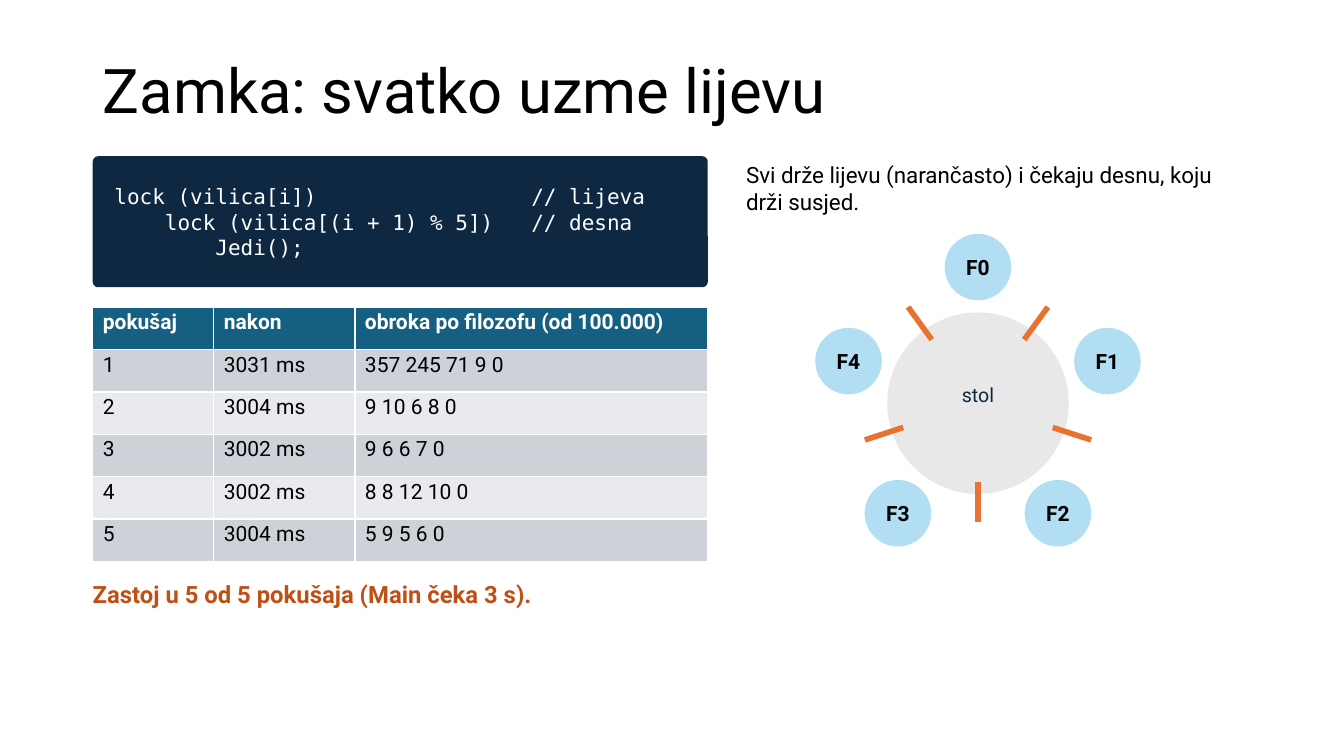
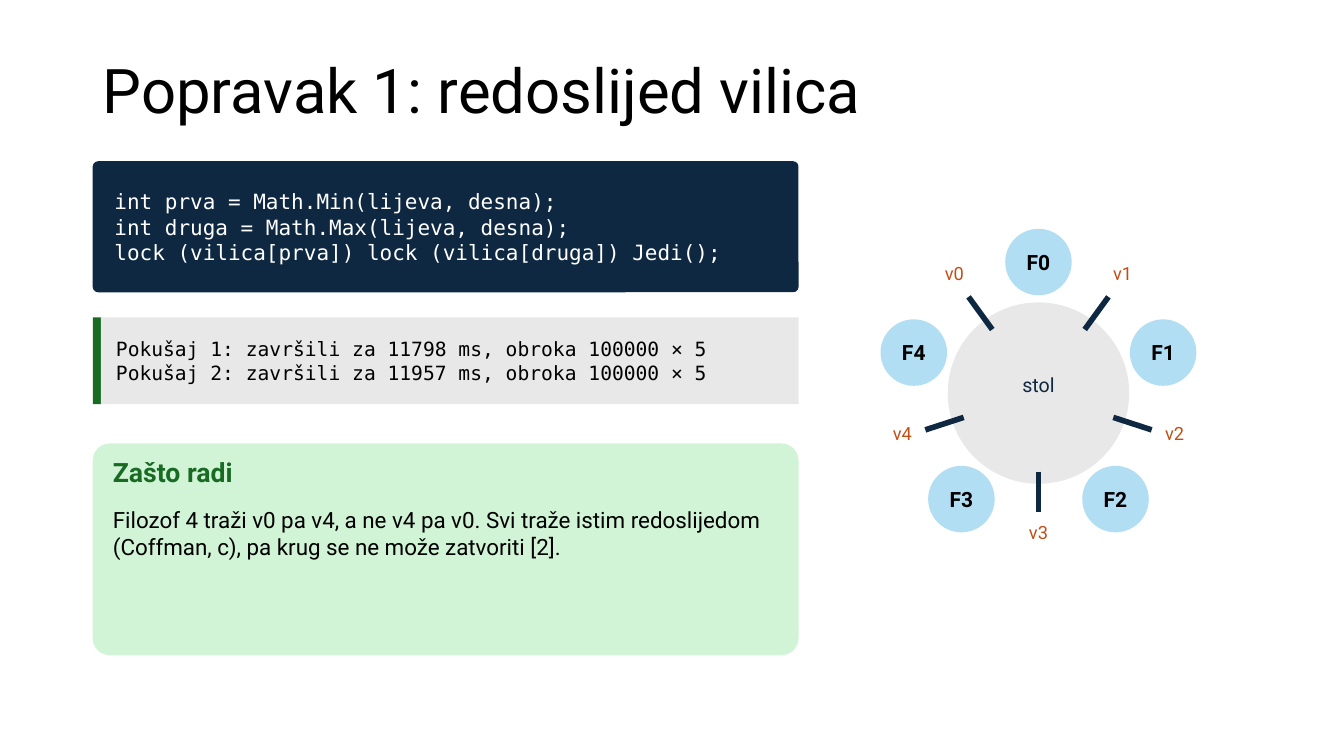
import math

import pptx
import pptx.dml.color
import pptx.enum.shapes
import pptx.enum.text
import pptx.util
from lxml import etree

Inches, Pt = pptx.util.Inches, pptx.util.Pt
SHAPE = pptx.enum.shapes.MSO_SHAPE
ANCHOR = pptx.enum.text.MSO_ANCHOR
CENTER = pptx.enum.text.PP_ALIGN.CENTER

COLORS = {
    "text": "000000", "white": "FFFFFF", "navy": "0E2841", "header": "156082",
    "row_odd": "CCD2D8", "row_even": "E8EAED", "rust": "C04F15", "orange": "E97132",
    "grey": "E8E8E8", "seat": "B2DEF3", "green": "196B24", "mint": "D1F4D6",
}
SANS, MONO = "Roboto", "DejaVu Sans Mono"


def style(size, color="text", name=SANS, bold=False):
    return {"size": Pt(size), "name": name, "bold": bold, "color": color}


STYLES = {
    "title": style(44), "body": style(16), "cell": style(15),
    "header": style(15, "white", bold=True), "code": style(15, "white", MONO),
    "output": style(14, name=MONO), "verdict": style(17, "rust", bold=True),
    "reason": style(19, "green", bold=True), "table": style(14, "navy"),
    "seat": style(15, bold=True), "fork": style(13, "rust"),
}
LEFT = 0.92
NO_INSETS = (0, 0, 0, 0)

# Content
TRAP = {
    "title": "Zamka: svatko uzme lijevu",
    "code": [
        "lock (vilica[i])                 // lijeva",
        "    lock (vilica[(i + 1) % 5])   // desna",
        "        Jedi();",
    ],
    "attempts": [
        ("pokušaj", "nakon", "obroka po filozofu (od 100.000)"),
        ("1", "3031 ms", "357 245 71 9 0"),
        ("2", "3004 ms", "9 10 6 8 0"),
        ("3", "3002 ms", "9 6 6 7 0"),
        ("4", "3002 ms", "8 8 12 10 0"),
        ("5", "3004 ms", "5 9 5 6 0"),
    ],
    "verdict": "Zastoj u 5 od 5 pokušaja (Main čeka 3 s).",
    "caption": "Svi drže lijevu (narančasto) i čekaju desnu, koju drži susjed.",
}
FIX = {
    "title": "Popravak 1: redoslijed vilica",
    "code": [
        "int prva = Math.Min(lijeva, desna);",
        "int druga = Math.Max(lijeva, desna);",
        "lock (vilica[prva]) lock (vilica[druga]) Jedi();",
    ],
    "output": [
        "Pokušaj 1: završili za 11798 ms, obroka 100000 × 5",
        "Pokušaj 2: završili za 11957 ms, obroka 100000 × 5",
    ],
    "reason": "Zašto radi",
    "explanation": "Filozof 4 traži v0 pa v4, a ne v4 pa v0. Svi traže istim "
                   "redoslijedom (Coffman, c), pa krug se ne može zatvoriti [2].",
}
COLUMN_WIDTHS = (1.2, 1.4, 3.5)
ROW_HEIGHT = 0.42
SEATS = 5


def rgb(color):
    return pptx.dml.color.RGBColor.from_string(COLORS[color])


def write(frame, lines, kind, insets, anchor=ANCHOR.TOP, align=None):
    """Fill a text frame with one paragraph per line."""
    frame.word_wrap = True
    frame.vertical_anchor = anchor
    for side, inset in zip(("left", "top", "right", "bottom"), insets):
        setattr(frame, f"margin_{side}", Inches(inset))
    for number, line in enumerate(lines):
        paragraph = frame.paragraphs[0] if number == 0 else frame.add_paragraph()
        paragraph.alignment = align
        run = paragraph.add_run()
        run.text = line
        for attribute, value in STYLES[kind].items():
            if attribute == "color":
                run.font.color.rgb = rgb(value)
            else:
                setattr(run.font, attribute, value)


def add_label(slide, box, text, kind, align=None):
    frame = slide.shapes.add_textbox(*map(Inches, box)).text_frame
    write(frame, [text], kind, NO_INSETS, align=align)
    frame.auto_size = pptx.enum.text.MSO_AUTO_SIZE.SHAPE_TO_FIT_TEXT


def add_panel(slide, preset, box, fill, corner=None):
    panel = slide.shapes.add_shape(preset, *map(Inches, box))
    panel.shadow.inherit = False
    panel.fill.solid()
    panel.fill.fore_color.rgb = rgb(fill)
    panel.line.fill.background()
    if corner is not None:
        panel.adjustments[0] = corner
    return panel


def add_disc(slide, center, diameter, fill):
    x, y = center
    box = (x - diameter / 2, y - diameter / 2, diameter, diameter)
    return add_panel(slide, SHAPE.OVAL, box, fill)


def add_fork(slide, start, end, color):
    fork = slide.shapes.add_connector(
        pptx.enum.shapes.MSO_CONNECTOR.STRAIGHT, *map(Inches, start + end))
    fork.line.color.rgb = rgb(color)
    fork.line.width = Pt(4)
    etree.SubElement(fork._element.spPr, pptx.oxml.ns.qn("a:effectLst"))


def add_titled_slide(deck, title):
    slide = deck.slides.add_slide(deck.slide_layouts[6])
    box = slide.shapes.add_textbox(*map(Inches, (LEFT, 0.4, 11.5, 1.06)))
    write(box.text_frame, [title], "title", (0.1, 0.05, 0.1, 0.05), ANCHOR.MIDDLE)
    box.text_frame.paragraphs[0].line_spacing = 0.9
    return slide


def add_code(slide, top, width, lines):
    panel = add_panel(slide, SHAPE.ROUNDED_RECTANGLE, (LEFT, top, width, 1.3), "navy", 0.04)
    write(panel.text_frame, lines, "code", (0.2, 0.05, 0.1, 0.05), ANCHOR.MIDDLE)


def add_attempts(slide, top, rows):
    grid = slide.shapes.add_table(
        len(rows), len(COLUMN_WIDTHS), Inches(LEFT), Inches(top),
        Inches(sum(COLUMN_WIDTHS)), Inches(ROW_HEIGHT * len(rows))).table
    for column, width in zip(grid.columns, COLUMN_WIDTHS):
        column.width = Inches(width)
    for r, values in enumerate(rows):
        grid.rows[r].height = Inches(ROW_HEIGHT)
        fill = "header" if r == 0 else ("row_even", "row_odd")[r % 2]
        for c, value in enumerate(values):
            cell = grid.cell(r, c)
            cell.fill.solid()
            cell.fill.fore_color.rgb = rgb(fill)
            # A cell keeps its insets and anchor itself, not in its text frame
            for side, inset in (("left", 0.1), ("top", 0.03), ("right", 0.1), ("bottom", 0.03)):
                setattr(cell, f"margin_{side}", Inches(inset))
            run = cell.text_frame.paragraphs[0].add_run()
            run.text = value
            look = STYLES["header" if r == 0 else "cell"]
            for attribute in ("size", "name", "bold"):
                setattr(run.font, attribute, look[attribute])
            run.font.color.rgb = rgb(look["color"])


def add_philosophers(slide, center, seat_radius, fork_color, name_forks=False):
    """Round table with seats, and a fork halfway between neighbours."""
    x, y = center

    def at(radius, step):
        angle = 2 * math.pi * step / SEATS
        return x + radius * math.sin(angle), y - radius * math.cos(angle)

    add_disc(slide, center, 1.8, "grey")
    add_label(slide, (x - 0.5, y - 0.2, 1, 0.4), "stol", "table", CENTER)
    for i in range(SEATS):
        seat = add_disc(slide, at(seat_radius, i), 0.66, "seat")
        write(seat.text_frame, [f"F{i}"], "seat", (0, 0.05, 0, 0.05), ANCHOR.MIDDLE, CENTER)
        between = i + 0.5
        add_fork(slide, at(0.78, between), at(1.18, between), fork_color)
        if name_forks:
            fork_x, fork_y = at(1.42, between)
            box = (fork_x - 0.3, fork_y - 0.15, 0.6, 0.3)
            add_label(slide, box, f"v{(i + 1) % SEATS}", "fork", CENTER)


def build_trap(deck):
    slide = add_titled_slide(deck, TRAP["title"])
    width = sum(COLUMN_WIDTHS)
    add_code(slide, 1.55, width, TRAP["code"])
    add_attempts(slide, 3.05, TRAP["attempts"])
    add_label(slide, (LEFT, 5.75, width, 0.8), TRAP["verdict"], "verdict")
    add_philosophers(slide, (9.7, 4), 1.35, "orange")
    add_label(slide, (7.4, 1.6, 4.9, 0.9), TRAP["caption"], "body")


def build_fix(deck):
    slide = add_titled_slide(deck, FIX["title"])
    width, bar = 7, 0.08
    add_code(slide, 1.6, width, FIX["code"])
    # Program output with an accent bar
    add_panel(slide, SHAPE.RECTANGLE, (LEFT, 3.15, bar, 0.86), "green")
    output = add_panel(slide, SHAPE.RECTANGLE, (LEFT + bar, 3.15, width - bar, 0.86), "grey")
    write(output.text_frame, FIX["output"], "output", (0.15, 0.05, 0.1, 0.05), ANCHOR.MIDDLE)
    # Explanation card
    add_panel(slide, SHAPE.ROUNDED_RECTANGLE, (LEFT, 4.4, width, 2.1), "mint", 0.08)
    inner_left, inner_width = LEFT + 0.2, width - 0.4
    add_label(slide, (inner_left, 4.52, inner_width, 0.45), FIX["reason"], "reason")
    add_label(slide, (inner_left, 5.02, inner_width, 1.4), FIX["explanation"], "body")
    add_philosophers(slide, (10.3, 3.9), 1.3, "navy", name_forks=True)


def main():
    deck = pptx.Presentation()
    deck.slide_width, deck.slide_height = Inches(13.33), Inches(7.5)
    build_trap(deck)
    build_fix(deck)
    deck.save("out.pptx")


if __name__ == "__main__":
    main()
